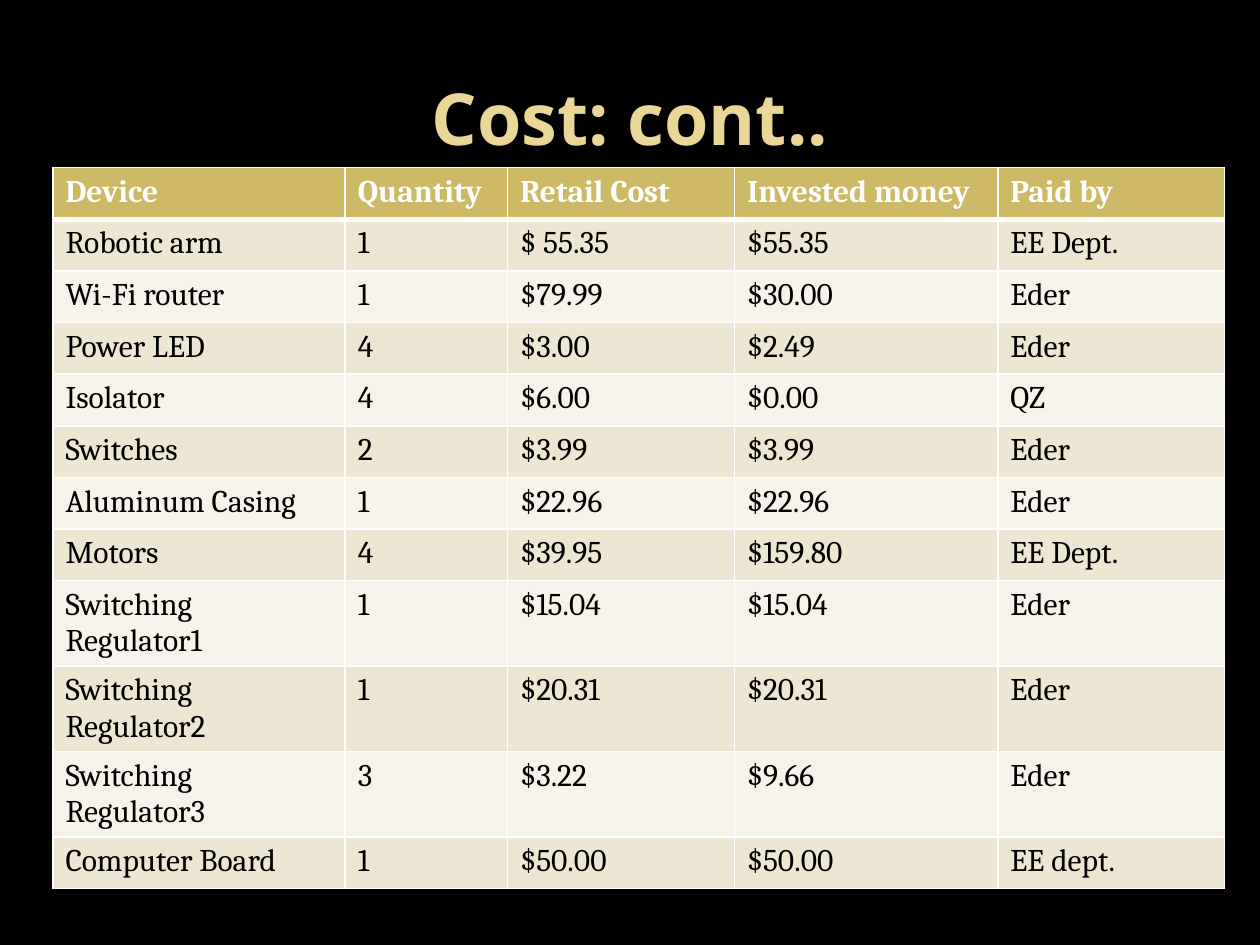
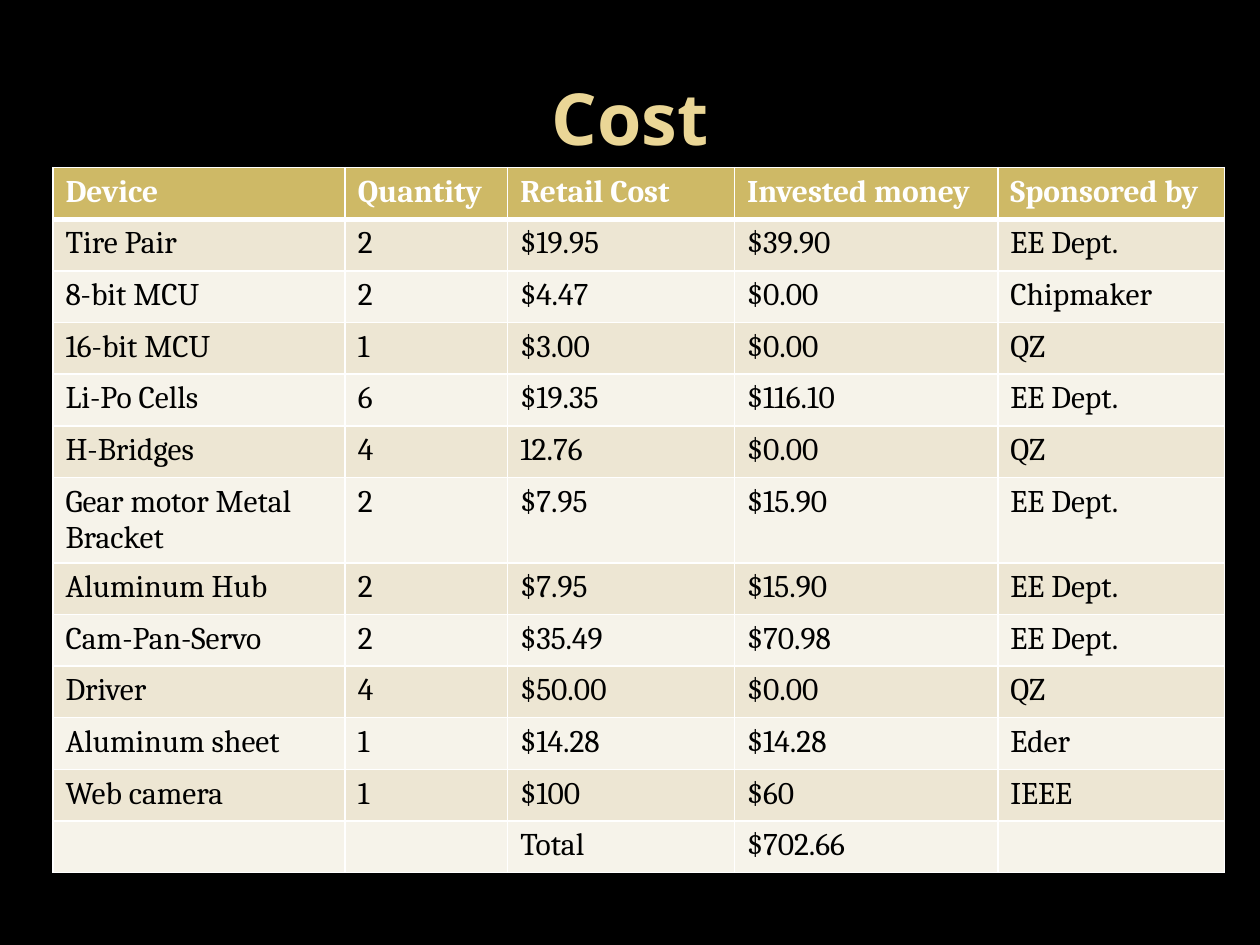
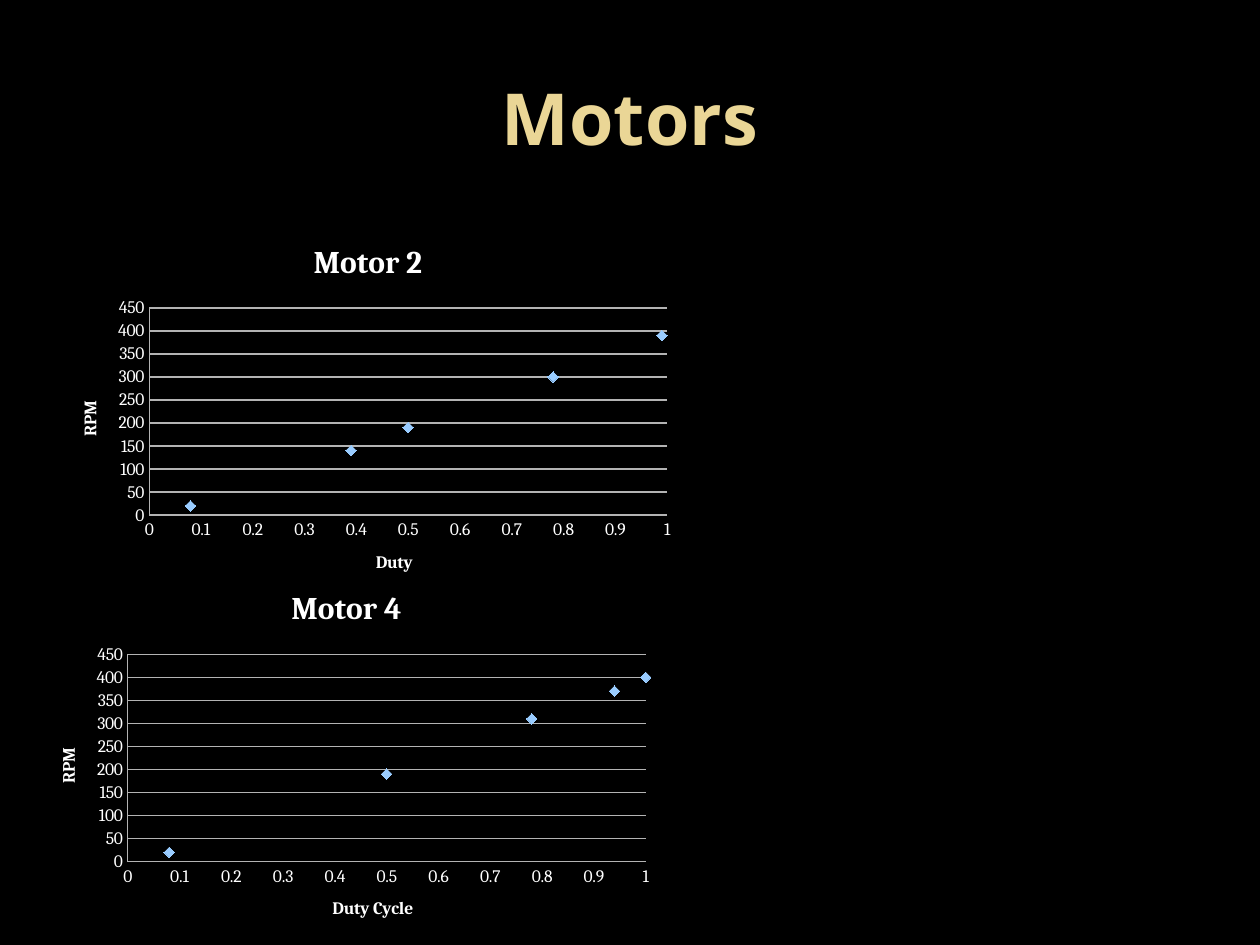
from lxml import etree
from pptx import Presentation
from pptx.chart.data import XyChartData
from pptx.dml.color import RGBColor
from pptx.enum.chart import XL_CHART_TYPE, XL_MARKER_STYLE, XL_TICK_MARK
from pptx.enum.text import MSO_ANCHOR, MSO_AUTO_SIZE, PP_ALIGN
from pptx.oxml.ns import qn
from pptx.util import Inches, Pt

SCATTER = XL_CHART_TYPE.XY_SCATTER
DIAMOND = XL_MARKER_STYLE.DIAMOND
NO_TICK = XL_TICK_MARK.NONE
MIDDLE = MSO_ANCHOR.MIDDLE
NO_FIT = MSO_AUTO_SIZE.NONE
CENTER = PP_ALIGN.CENTER

COLORS = {
    "background": "000000",
    "title": "EAD696",
    "header": "CEB966",
    "odd_row": "EDE6D3",
    "even_row": "F6F3EA",
    "light": "FFFFFF",
    "dark": "000000",
    "grid": "B3B3B3",
    "marker": "99CCFF",
}
TITLE_FONT = "Open Sans"
BODY_FONT = "Cambria"
COLUMN_WIDTHS = (2.32, 1.29, 1.8, 2.09, 1.8)
ROW_HEIGHT = 0.41
HEADINGS = ("Device", "Quantity", "Retail Cost", "Invested money")

PARTS = [
    ("Robotic arm", "1", "$ 55.35", "$55.35", "EE Dept."),
    ("Wi-Fi router", "1", "$79.99", "$30.00", "Eder"),
    ("Power LED", "4", "$3.00", "$2.49", "Eder"),
    ("Isolator", "4", "$6.00", "$0.00", "QZ"),
    ("Switches", "2", "$3.99", "$3.99", "Eder"),
    ("Aluminum Casing", "1", "$22.96", "$22.96", "Eder"),
    ("Motors", "4", "$39.95", "$159.80", "EE Dept."),
    ("Switching Regulator1", "1", "$15.04", "$15.04", "Eder"),
    ("Switching Regulator2", "1", "$20.31", "$20.31", "Eder"),
    ("Switching Regulator3", "3", "$3.22", "$9.66", "Eder"),
    ("Computer Board", "1", "$50.00", "$50.00", "EE dept."),
]
SPONSORED_PARTS = [
    ("Tire Pair", "2", "$19.95", "$39.90", "EE Dept."),
    ("8-bit MCU", "2", "$4.47", "$0.00", "Chipmaker"),
    ("16-bit MCU", "1", "$3.00", "$0.00", "QZ"),
    ("Li-Po Cells", "6", "$19.35", "$116.10", "EE Dept."),
    ("H-Bridges", "4", "12.76", "$0.00", "QZ"),
    ("Gear motor Metal Bracket", "2", "$7.95", "$15.90", "EE Dept."),
    ("Aluminum Hub", "2", "$7.95", "$15.90", "EE Dept."),
    ("Cam-Pan-Servo", "2", "$35.49", "$70.98", "EE Dept."),
    ("Driver", "4", "$50.00", "$0.00", "QZ"),
    ("Aluminum sheet", "1", "$14.28", "$14.28", "Eder"),
    ("Web camera", "1", "$100", "$60", "IEEE"),
    ("", "", "Total", "$702.66", ""),
]
MOTOR_2 = [(0.08, 20), (0.39, 140), (0.5, 190), (0.78, 300), (0.99, 390)]
MOTOR_4 = [(0.08, 20), (0.94, 370), (1, 400), (0.5, 190), (0.78, 310)]


def rgb(name):
    return RGBColor.from_string(COLORS[name])


class DeckBuilder:
    def __init__(self):
        self.deck = Presentation()
        self.deck.slide_width = Inches(10)
        self.deck.slide_height = Inches(7.5)
        fill = self.deck.slide_master.background.fill
        fill.solid()
        fill.fore_color.rgb = rgb("background")
        self.page = None

    def style_font(self, font, size, color, bold=False, name=BODY_FONT):
        font.name = name
        font.size = Pt(size)
        font.bold = bold
        font.color.rgb = rgb(color)

    def style_runs(self, frame, size, color, bold=False, name=BODY_FONT):
        for para in frame.paragraphs:
            for span in para.runs:
                self.style_font(span.font, size, color, bold, name)

    def add_page(self, title):
        self.page = self.deck.slides.add_slide(self.deck.slide_layouts[5])
        box = self.page.shapes.title
        box.left, box.top = Inches(0.5), Inches(0.3)
        box.width, box.height = Inches(9), Inches(1.25)
        frame = box.text_frame
        frame.text = title
        frame.auto_size = NO_FIT
        frame.vertical_anchor = MIDDLE
        frame.paragraphs[0].alignment = CENTER
        self.style_runs(frame, 41, "title", True, TITLE_FONT)

    def add_borders(self, cell, top, bottom):
        properties = cell._tc.get_or_add_tcPr()
        for side, points in (("L", 1), ("R", 1), ("T", top), ("B", bottom)):
            line = etree.SubElement(properties, qn(f"a:ln{side}"), w=str(Pt(points)))
            fill = etree.SubElement(line, qn("a:solidFill"))
            etree.SubElement(fill, qn("a:srgbClr"), val=COLORS["light"])

    def add_cost_table(self, last_heading, parts):
        rows = [HEADINGS + (last_heading,)] + parts
        table = self.page.shapes.add_table(
            len(rows), len(COLUMN_WIDTHS), Inches(0.42), Inches(1.33),
            Inches(sum(COLUMN_WIDTHS)), Inches(ROW_HEIGHT * len(rows)),
        ).table
        for column, width in zip(table.columns, COLUMN_WIDTHS):
            column.width = Inches(width)
        for index, values in enumerate(rows):
            header = index == 0
            band = "header" if header else "odd_row" if index % 2 else "even_row"
            table.rows[index].height = Inches(ROW_HEIGHT)
            for cell, value in zip(table.rows[index].cells, values):
                self.add_borders(cell, 3 if index == 1 else 1, 3 if header else 1)
                cell.fill.solid()
                cell.fill.fore_color.rgb = rgb(band)
                cell.text_frame.text = value
                self.style_runs(cell.text_frame, 18, "light" if header else "dark", header)

    def format_axis(self, axis, title, maximum, step):
        axis.minimum_scale = 0
        axis.maximum_scale = maximum
        axis.major_unit = step
        axis.major_tick_mark = NO_TICK
        axis.minor_tick_mark = NO_TICK
        axis.format.line.color.rgb = rgb("grid")
        axis.axis_title.text_frame.text = title
        self.style_runs(axis.axis_title.text_frame, 10, "light", True)

    def add_motor_chart(self, title, duty_label, points, left, top):
        data = XyChartData()
        readings = data.add_series("Series 1")
        for duty, rpm in points:
            readings.add_data_point(duty, rpm)
        chart = self.page.shapes.add_chart(
            SCATTER, Inches(left), Inches(top), Inches(5), Inches(3), data
        ).chart
        self.style_font(chart.font, 10, "light")
        chart.has_legend = False
        chart.has_title = True
        chart.chart_title.text_frame.text = title
        self.style_runs(chart.chart_title.text_frame, 18, "light", True)
        self.format_axis(chart.category_axis, duty_label, 1, 0.1)
        self.format_axis(chart.value_axis, "RPM", 450, 50)
        chart.category_axis.has_major_gridlines = False
        chart.value_axis.has_major_gridlines = True
        chart.value_axis.major_gridlines.format.line.color.rgb = rgb("grid")
        plot = chart.plots[0]
        plot.vary_by_categories = False
        series = plot.series[0]
        series.format.line.fill.background()
        marker = series.marker
        marker.style = DIAMOND
        marker.size = 6
        marker.format.fill.solid()
        marker.format.fill.fore_color.rgb = rgb("marker")
        marker.format.line.fill.background()


def main():
    builder = DeckBuilder()
    builder.add_page("Cost: cont..")
    builder.add_cost_table("Paid by", PARTS)
    builder.add_page("Cost")
    builder.add_cost_table("Sponsored by", SPONSORED_PARTS)
    builder.add_page("Motors")
    builder.add_motor_chart("Motor 2", "Duty", MOTOR_2, 0.42, 1.75)
    builder.add_motor_chart("Motor 4", "Duty Cycle", MOTOR_4, 0.25, 4.5)
    builder.deck.save("out.pptx")


if __name__ == "__main__":
    main()
